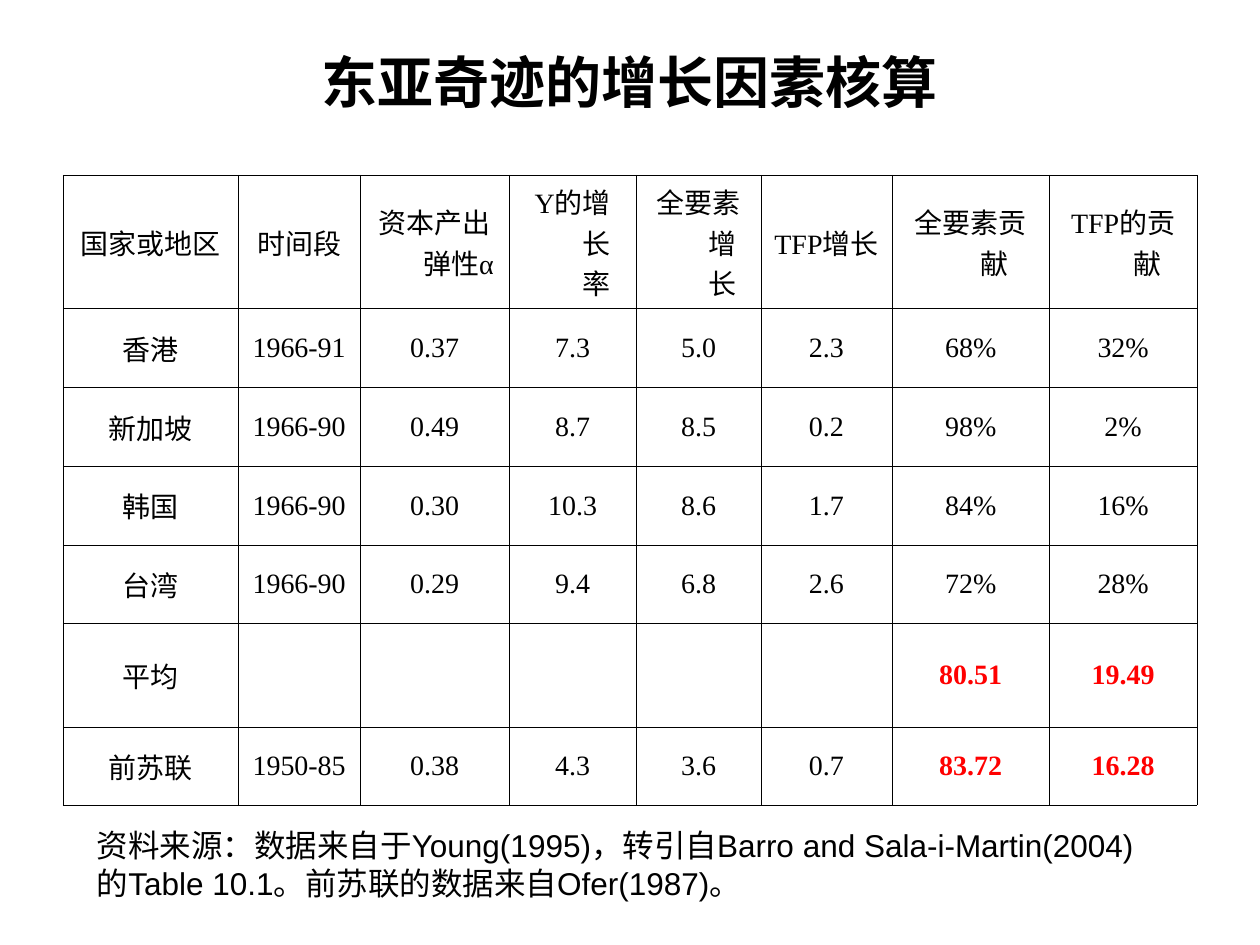
from dataclasses import dataclass

from lxml import etree
from pptx import Presentation
from pptx import util as u
from pptx.dml import color
from pptx.enum import text
from pptx.oxml import ns


@dataclass(frozen=True)
class Theme:
    """Colours, fonts and type sizes of the deck."""
    ink: str = "000000"
    accent: str = "FF0000"
    sans: str = "Arial"
    serif: str = "Times New Roman"
    title_size: int = 32
    table_size: int = 16
    note_size: int = 18
    thin: float = 0.34
    thick: float = 0.45


class Page:
    """One slide on a grid of 100 columns by 75 rows."""

    def __init__(self, deck, theme):
        """Add a title-only slide to the deck."""
        self.theme = theme
        self.slide = deck.slides.add_slide(deck.slide_layouts[5])
        self.column = deck.slide_width / 100
        self.row = deck.slide_height / 75

    def area(self, left, top, width, height):
        """Turn grid units into lengths."""
        return [u.Emu(round(n * unit)) for n, unit in
                zip((left, top, width, height), (self.column, self.row) * 2)]

    def add_span(self, para, words, size, font, tint, bold=False, align=None):
        """Put one formatted span into a paragraph."""
        para.alignment = align
        span = para.add_run()
        span.text = words
        formats = {"size": u.Pt(size), "name": font, "bold": bold}
        for name, value in formats.items():
            setattr(span.font, name, value)
        span.font.color.rgb = color.RGBColor.from_string(tint)

    def title(self, words, *place):
        """Move and fill the title placeholder."""
        box = self.slide.shapes.title
        for name, value in zip(("left", "top", "width", "height"), self.area(*place)):
            setattr(box, name, value)
        box.text_frame.vertical_anchor = text.MSO_ANCHOR.MIDDLE
        self.add_span(box.text_frame.paragraphs[0], words, self.theme.title_size,
                      self.theme.sans, self.theme.ink, True, text.PP_ALIGN.CENTER)

    def note(self, words, *place):
        """Add a wrapped text box."""
        frame = self.slide.shapes.add_textbox(*self.area(*place)).text_frame
        formats = {"word_wrap": True, "vertical_anchor": text.MSO_ANCHOR.MIDDLE,
                   "auto_size": text.MSO_AUTO_SIZE.SHAPE_TO_FIT_TEXT}
        for name, value in formats.items():
            setattr(frame, name, value)
        self.add_span(frame.paragraphs[0], words, self.theme.note_size,
                      self.theme.sans, self.theme.ink)

    def border(self, cell, **widths):
        """Draw the four edges of a cell."""
        props = cell._tc.get_or_add_tcPr()
        for side, width in widths.items():
            line = etree.SubElement(props, ns.qn(f"a:ln{side}"), w=str(u.Pt(width)))
            fill = etree.SubElement(line, ns.qn("a:solidFill"))
            etree.SubElement(fill, ns.qn("a:srgbClr"), val=self.theme.ink)

    def table(self, records, widths, heights, left, top, accents):
        """Add a ruled table and highlight the accent cells."""
        theme = self.theme
        place = self.area(left, top, sum(widths), sum(heights))
        table = self.slide.shapes.add_table(len(heights), len(widths), *place).table
        table.first_row = table.horz_banding = False
        for column, width in zip(table.columns, widths):
            column.width = u.Emu(round(width * self.column))
        for row, height in zip(table.rows, heights):
            row.height = u.Emu(round(height * self.row))
        last = len(records) - 1
        for r, record in enumerate(records):
            for c, words in enumerate(record):
                cell = table.cell(r, c)
                cell.vertical_anchor = text.MSO_ANCHOR.MIDDLE
                self.border(cell, L=theme.thin, R=theme.thin,
                            T=theme.thick if r < 2 else theme.thin,
                            B=theme.thick if r in (0, last) else theme.thin)
                cell.fill.background()
                if not words:
                    continue
                para = cell.text_frame.paragraphs[0]
                for name, value in {"marL": 0.38, "indent": -0.38}.items():
                    para._p.get_or_add_pPr().set(name, str(u.Inches(value)))
                strong = words in accents
                self.add_span(para, words, theme.table_size, theme.serif,
                              theme.accent if strong else theme.ink, strong,
                              text.PP_ALIGN.CENTER)


RECORDS = [
    ("国家或地区", "时间段", "资本产出弹性α", "Y的增长率", "全要素增长", "TFP增长", "全要素贡献", "TFP的贡献"),
    ("香港", "1966-91", "0.37", "7.3", "5.0", "2.3", "68%", "32%"),
    ("新加坡", "1966-90", "0.49", "8.7", "8.5", "0.2", "98%", "2%"),
    ("韩国", "1966-90", "0.30", "10.3", "8.6", "1.7", "84%", "16%"),
    ("台湾", "1966-90", "0.29", "9.4", "6.8", "2.6", "72%", "28%"),
    ("平均", "", "", "", "", "", "80.51", "19.49"),
    ("前苏联", "1950-85", "0.38", "4.3", "3.6", "0.7", "83.72", "16.28"),
]
WIDTHS = (13.9, 9.7, 11.8, 10.1, 9.9, 10.4, 12.5, 11.7)
HEIGHTS = (9.8, 6.25, 6.25, 6.25, 6.25, 8.2, 6.2)


def main():
    """Build and save the deck."""
    deck = Presentation()
    deck.slide_width, deck.slide_height = u.Inches(10), u.Inches(7.5)
    page = Page(deck, Theme())
    page.title("东亚奇迹的增长因素核算", 5, 3, 90, 6.9)
    page.table(RECORDS, WIDTHS, HEIGHTS, 5, 13.9,
               {"80.51", "19.49", "83.72", "16.28"})
    page.note("资料来源：数据来自于Young(1995)，转引自Barro and Sala-i-Martin(2004)的Table 10.1。"
              "前苏联的数据来自Ofer(1987)。", 6.7, 65.1, 85.1, 7)
    deck.save("out.pptx")


if __name__ == "__main__":
    main()
